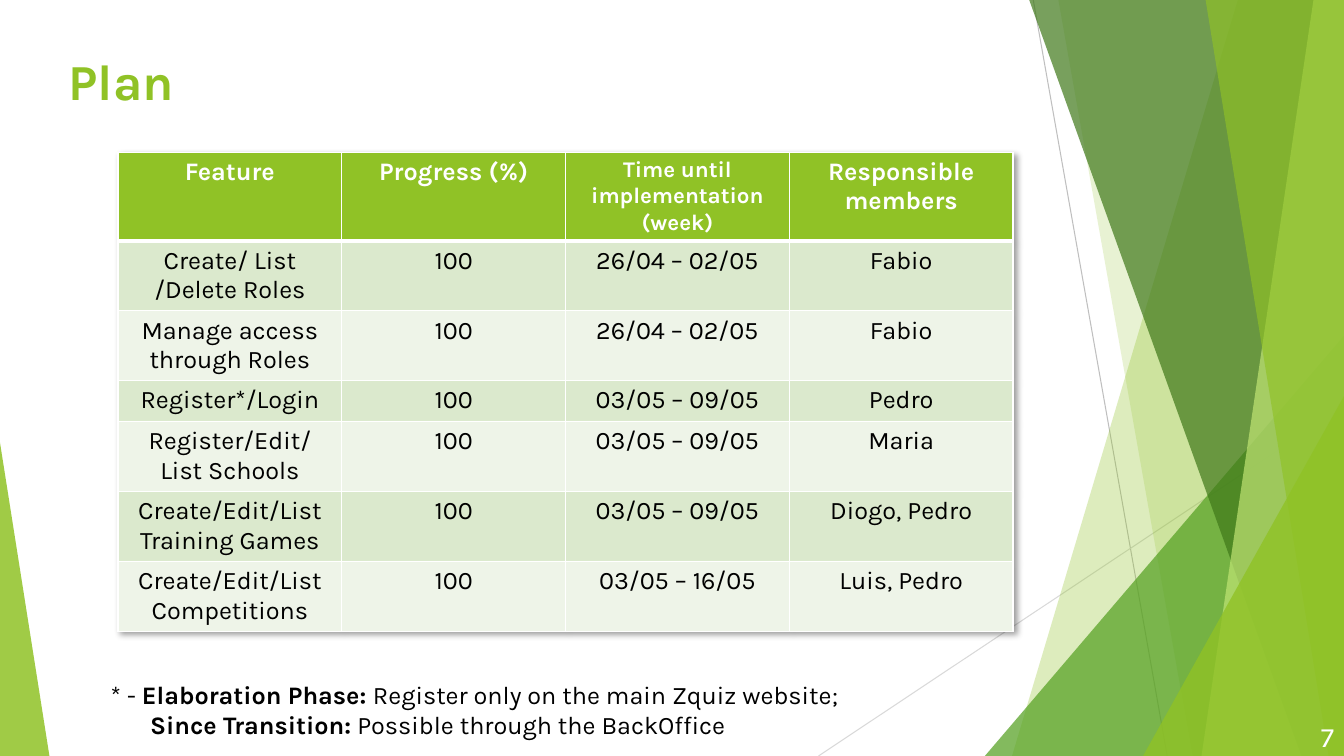
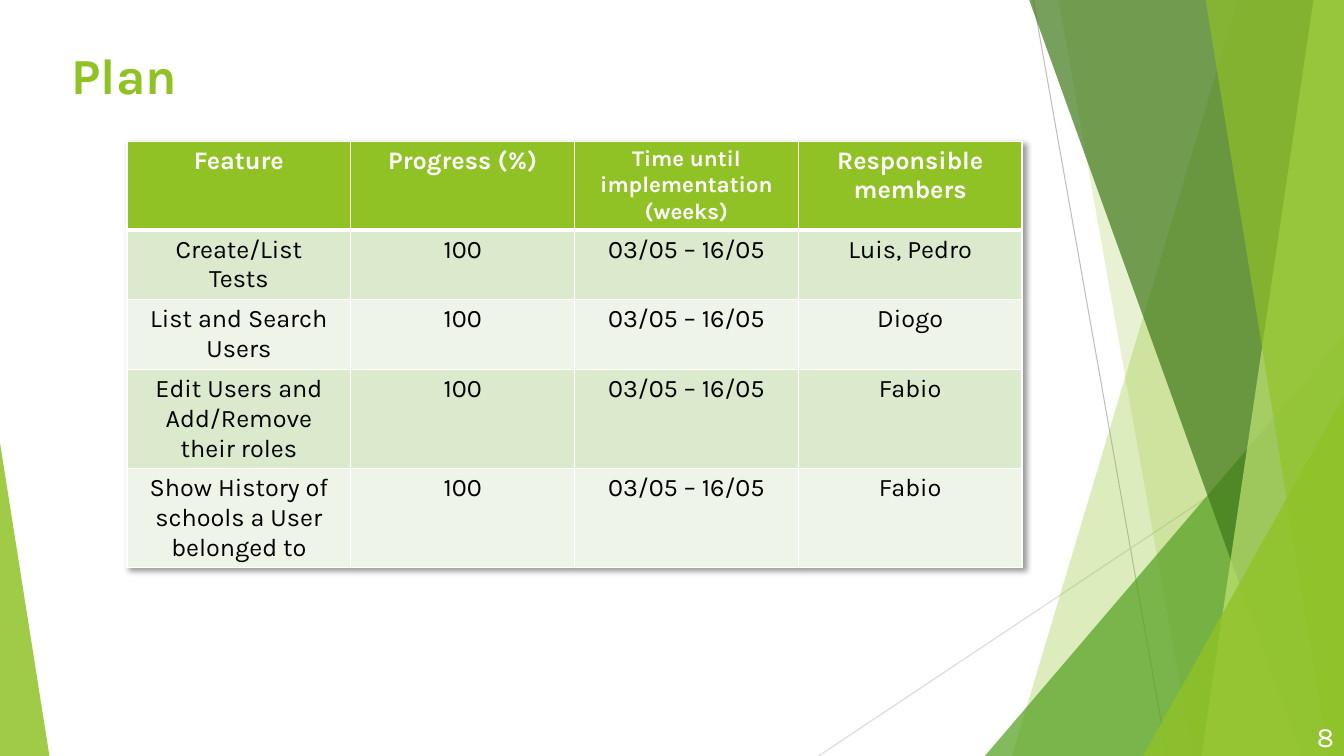
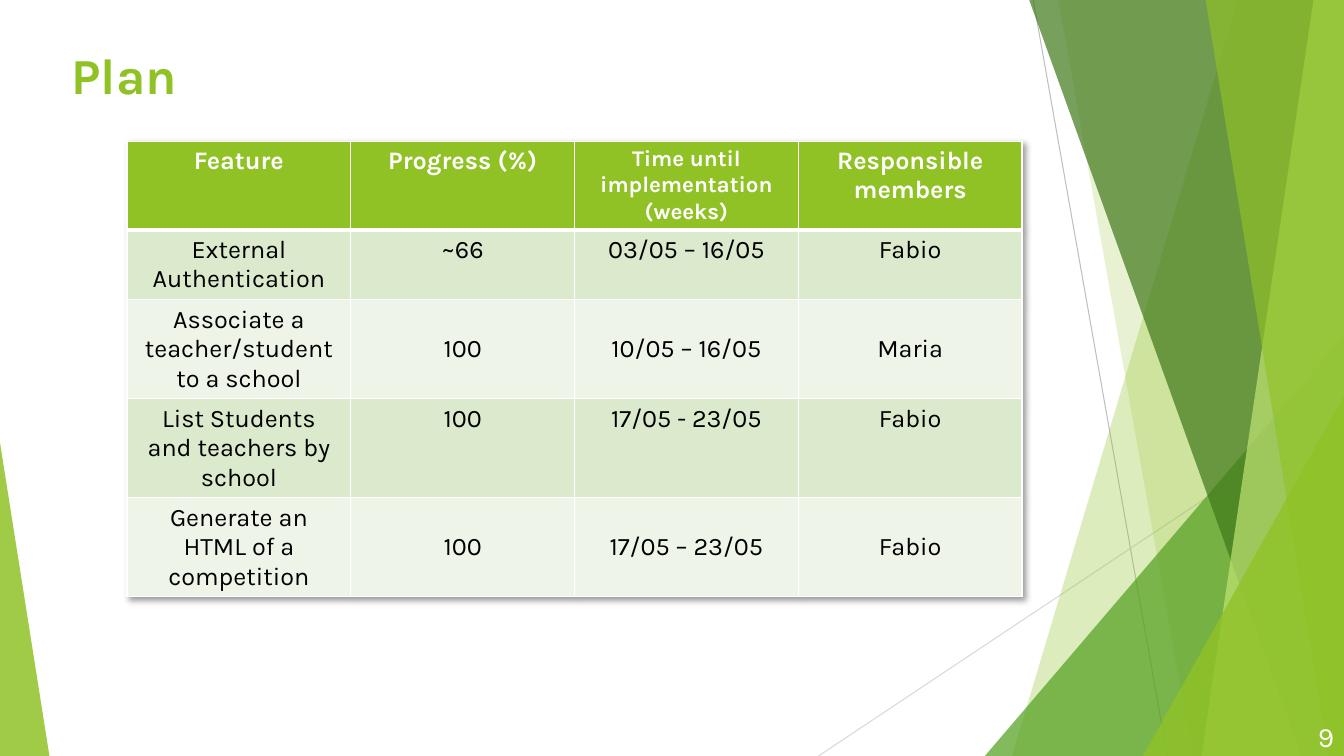
from dataclasses import dataclass

from lxml.etree import SubElement
from pptx import Presentation
from pptx.dml.color import RGBColor
from pptx.enum.shapes import MSO_CONNECTOR as Connector
from pptx.enum.shapes import MSO_SHAPE as Preset
from pptx.enum.text import MSO_ANCHOR as Anchor
from pptx.enum.text import PP_ALIGN as Align
from pptx.oxml import parse_xml
from pptx.oxml.ns import nsdecls, qn
from pptx.util import Inches, Pt

WIDTH, HEIGHT = Inches(13.33), Inches(7.5)


@dataclass(frozen=True)
class Theme:
    font: str = "Karla"
    lime: str = "90C226"
    pale_lime: str = "C0E474"
    green: str = "54A021"
    forest: str = "3F7819"
    dark_line: str = "BFBFBF"
    light_line: str = "D9D9D9"
    row_odd: str = "DBE9CD"
    row_even: str = "EEF4E8"
    white: str = "FFFFFF"
    black: str = "000000"
    title_size: int = 36
    number_size: int = 20
    body_size: int = 18
    small_size: int = 16


THEME = Theme()


# All positions below are percentages of the slide's width and height.
@dataclass(frozen=True)
class Band:
    """A sheet from a slanted left edge to the right side of the slide."""
    top_x: float
    bottom_x: float
    color: str
    opacity: int


@dataclass(frozen=True)
class Wedge:
    """A triangle standing on the bottom edge; lean 1 puts its tip right."""
    left: float
    top: float
    width: float
    lean: int
    color: str
    opacity: int


@dataclass(frozen=True)
class Ray:
    start: tuple[float, float]
    end: tuple[float, float]
    color: str


@dataclass(frozen=True)
class Row:
    cells: tuple[str, str, str, str]
    lines: int = 2
    centred: bool = False


@dataclass(frozen=True)
class Plan:
    number: int
    title_at: tuple[float, float]
    table_at: tuple[float, float]
    unit: str
    rows: tuple[Row, ...]
    footnote: bool = False


DECORATION = (
    Ray((76.88, 0), (86.85, 100), THEME.dark_line),
    Ray((100, 53.73), (60.9, 100), THEME.light_line),
    Band(92.1, 75.3, THEME.lime, 30),
    Band(78.75, 88.73, THEME.lime, 20),
    Wedge(73.28, 44.4, 26.72, 1, THEME.green, 72),
    Band(76.58, 96.83, THEME.forest, 70),
    Band(97.73, 89.4, THEME.pale_lime, 70),
    Band(89.7, 98.85, THEME.lime, 65),
    Wedge(85.05, 52.4, 14.95, 1, THEME.lime, 80),
    Wedge(0, 58.53, 3.68, 0, THEME.lime, 85),
)

FOOTNOTE = (
    (("* - ", False), ("Elaboration Phase: ", True),
     ("Register only on the main Zquiz website;", False)),
    (("Since Transition:", True), (" Possible through the BackOffice", False)),
)

COLUMN_WIDTH = 16.65
HEADER_HEIGHT = 11.6
LINE_HEIGHT, ROW_PADDING = 3.85, 1.55

APRIL, EARLY_MAY = "26/04 – 02/05", "03/05 – 09/05"
TWO_WEEKS = "03/05 – 16/05"

PLANS = (
    Plan(7, (4.35, 6), (8.78, 20.13), "(week)", (
        Row(("Create/ List /Delete Roles", "100", APRIL, "Fabio")),
        Row(("Manage access through Roles", "100", APRIL, "Fabio")),
        Row(("Register*/Login", "100", EARLY_MAY, "Pedro"), lines=1),
        Row(("Register/Edit/List Schools", "100", EARLY_MAY, "Maria")),
        Row(("Create/Edit/List\nTraining Games", "100", EARLY_MAY, "Diogo, Pedro")),
        Row(("Create/Edit/List Competitions", "100", TWO_WEEKS, "Luis, Pedro")),
    ), footnote=True),
    Plan(8, (4.58, 5.2), (9.45, 18.67), "(weeks)", (
        Row(("Create/List\nTests", "100", TWO_WEEKS, "Luis, Pedro")),
        Row(("List and Search Users", "100", TWO_WEEKS, "Diogo")),
        Row(("Edit Users and Add/Remove their roles", "100", TWO_WEEKS, "Fabio"), lines=3),
        Row(("Show History of schools a User belonged to", "100", TWO_WEEKS, "Fabio"),
            lines=3),
    )),
    Plan(9, (4.58, 5.2), (9.45, 18.67), "(weeks)", (
        Row(("External Authentication", "~66", TWO_WEEKS, "Fabio")),
        Row(("Associate a teacher/student to a school", "100", "10/05 – 16/05", "Maria"),
            lines=3, centred=True),
        Row(("List Students and teachers by school", "100", "17/05 - 23/05", "Fabio"),
            lines=3),
        Row(("Generate an HTML of a competition", "100", "17/05 – 23/05", "Fabio"),
            lines=3, centred=True),
    )),
)


def across(percent: float) -> int:
    return round(WIDTH * percent / 100)


def down(percent: float) -> int:
    return round(HEIGHT * percent / 100)


def area(left: float, top: float, width: float, height: float) -> tuple[int, ...]:
    return across(left), down(top), across(width), down(height)


def format_span(span, size: int, color: str, bold: bool = False) -> None:
    span.font.name = THEME.font
    span.font.size = Pt(size)
    span.font.bold = bold
    span.font.color.rgb = RGBColor.from_string(color)


def format_text(frame, size: int, color: str, bold: bool, align: Align) -> None:
    for para in frame.paragraphs:
        para.alignment = align
        for span in para.runs:
            format_span(span, size, color, bold)


# Background decoration
def paint(shape, color: str, opacity: int) -> None:
    shape.shadow.inherit = False
    shape.line.fill.background()
    shape.fill.solid()
    shape.fill.fore_color.rgb = RGBColor.from_string(color)
    tint = shape.element.spPr.find(".//" + qn("a:srgbClr"))
    SubElement(tint, qn("a:alpha")).set("val", str(opacity * 1000))


def draw_band(slide, band: Band):
    outline = slide.shapes.build_freeform(across(band.top_x), 0)
    outline.add_line_segments(
        [(WIDTH, 0), (WIDTH, HEIGHT), (across(band.bottom_x), HEIGHT)], close=True)
    shape = outline.convert_to_shape()
    paint(shape, band.color, band.opacity)
    return shape


def draw_wedge(slide, wedge: Wedge):
    shape = slide.shapes.add_shape(
        Preset.ISOSCELES_TRIANGLE,
        *area(wedge.left, wedge.top, wedge.width, 100 - wedge.top))
    shape.adjustments[0] = wedge.lean
    paint(shape, wedge.color, wedge.opacity)
    return shape


def draw_ray(slide, ray: Ray):
    (x1, y1), (x2, y2) = ray.start, ray.end
    line = slide.shapes.add_connector(
        Connector.STRAIGHT, across(x1), down(y1), across(x2), down(y2))
    line.line.color.rgb = RGBColor.from_string(ray.color)
    line.line.width = Pt(0.75)
    SubElement(line.element.spPr, qn("a:effectLst"))
    return line


def decorate_layout(layout, slide) -> None:
    """Draw the decoration on a slide, then hand it to the shared layout."""
    painters = {Band: draw_band, Wedge: draw_wedge, Ray: draw_ray}
    for part in DECORATION:
        shape = painters[type(part)](slide, part)
        layout.shapes.element.append(shape.element)


# Table
def set_borders(cell, top: float, bottom: float) -> None:
    properties = cell._tc.get_or_add_tcPr()
    for side, points in (("L", 1), ("R", 1), ("T", top), ("B", bottom)):
        properties.append(parse_xml(
            f'<a:ln{side} {nsdecls("a")} w="{Pt(points)}"><a:solidFill>'
            f'<a:srgbClr val="{THEME.white}"/></a:solidFill></a:ln{side}>'))


def add_table_shadow(table) -> None:
    table._tbl.tblPr.insert(0, parse_xml(
        f'<a:effectLst {nsdecls("a")}><a:outerShdw blurRad="50800" dist="38100" '
        'dir="2700000" algn="tl" rotWithShape="0"><a:srgbClr val="000000">'
        '<a:alpha val="40000"/></a:srgbClr></a:outerShdw></a:effectLst>'))


def fill_cell(cell, text: str, fill: str, size: int, color: str, bold: bool) -> None:
    cell.text_frame.text = text
    format_text(cell.text_frame, size, color, bold, Align.CENTER)
    cell.fill.solid()
    cell.fill.fore_color.rgb = RGBColor.from_string(fill)


def draw_table(slide, plan: Plan) -> None:
    header = ("Feature", "Progress (%)",
              f"Time until implementation\n{plan.unit}", "Responsible members")
    heights = [HEADER_HEIGHT] + [ROW_PADDING + LINE_HEIGHT * row.lines for row in plan.rows]
    table = slide.shapes.add_table(
        len(heights), len(header),
        *area(*plan.table_at, COLUMN_WIDTH * len(header), sum(heights))).table
    table.horz_banding = False
    add_table_shadow(table)
    for column in table.columns:
        column.width = across(COLUMN_WIDTH)
    for table_row, height in zip(table.rows, heights):
        table_row.height = down(height)

    for column, text in enumerate(header):
        cell = table.cell(0, column)
        set_borders(cell, top=1, bottom=3)
        size = THEME.small_size if plan.unit in text else THEME.body_size
        fill_cell(cell, text, THEME.lime, size, THEME.white, True)
    for index, row in enumerate(plan.rows, start=1):
        fill = THEME.row_odd if index % 2 else THEME.row_even
        for column, text in enumerate(row.cells):
            cell = table.cell(index, column)
            set_borders(cell, top=3 if index == 1 else 1, bottom=1)
            fill_cell(cell, text, fill, THEME.body_size, THEME.black, False)
            if row.centred:
                cell.vertical_anchor = Anchor.MIDDLE


# Title, page number and footnote
def set_title(slide, at: tuple[float, float]) -> None:
    title = slide.shapes.title
    title.left, title.top, title.width, title.height = area(*at, 82.5, 20)
    title.text_frame.text = "Plan"
    title.text_frame.vertical_anchor = Anchor.TOP
    format_text(title.text_frame, THEME.title_size, THEME.lime, True, Align.LEFT)


def draw_number(slide, number: int) -> None:
    box = slide.shapes.add_textbox(*area(94.4, 94.67, 5.6, 5.33))
    box.text_frame.word_wrap = True
    box.text_frame.vertical_anchor = Anchor.MIDDLE
    box.text_frame.text = str(number)
    format_text(box.text_frame, THEME.number_size, THEME.white, False, Align.RIGHT)


def draw_footnote(slide) -> None:
    frame = slide.shapes.add_textbox(*area(7.5, 89.2, 60, 9.47)).text_frame
    frame.word_wrap = True
    for index, pieces in enumerate(FOOTNOTE):
        para = frame.add_paragraph() if index else frame.paragraphs[0]
        for text, bold in pieces:
            span = para.add_run()
            span.text = text
            format_span(span, THEME.body_size, THEME.black, bold)
    # The second line starts under the first bold word
    para._p.get_or_add_pPr().set("marL", str(Inches(0.39)))


def main() -> None:
    deck = Presentation()
    deck.slide_width, deck.slide_height = WIDTH, HEIGHT
    layout = deck.slide_layouts.get_by_name("Title Only")
    pages = [deck.slides.add_slide(layout) for _ in PLANS]
    decorate_layout(layout, pages[0])
    for page, plan in zip(pages, PLANS):
        set_title(page, plan.title_at)
        draw_table(page, plan)
        if plan.footnote:
            draw_footnote(page)
        draw_number(page, plan.number)
    deck.save("out.pptx")


if __name__ == "__main__":
    main()
